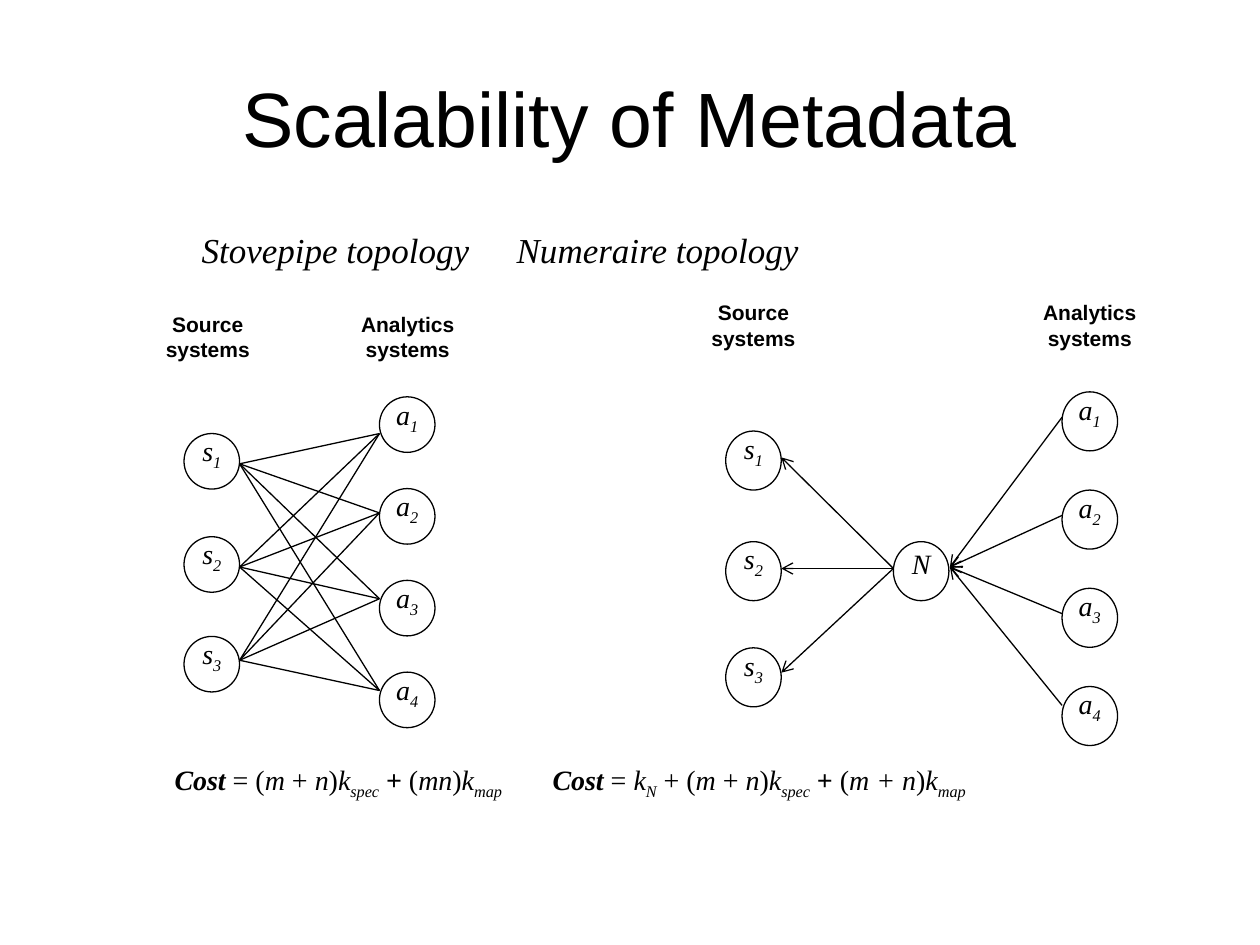
from lxml import etree
from pptx import Presentation
from pptx.dml.color import RGBColor
from pptx.enum.shapes import MSO_CONNECTOR, MSO_SHAPE
from pptx.enum.text import MSO_ANCHOR, PP_ALIGN
from pptx.oxml.ns import qn
from pptx.util import Cm, Pt

STRAIGHT = MSO_CONNECTOR.STRAIGHT
OVAL, RECTANGLE = MSO_SHAPE.OVAL, MSO_SHAPE.RECTANGLE
TOP, MIDDLE, BOTTOM = MSO_ANCHOR.TOP, MSO_ANCHOR.MIDDLE, MSO_ANCHOR.BOTTOM
CENTER, LEFT = PP_ALIGN.CENTER, PP_ALIGN.LEFT

COLORS = {"ink": "000000", "paper": "FFFFFF"}
INK = RGBColor.from_string(COLORS["ink"])
PAPER = RGBColor.from_string(COLORS["paper"])
SERIF, SANS = "Times New Roman", "Arial"


def write(paragraph, runs, size, font=SERIF):
    """Add (text, style) runs; style letters: b bold, i italic, _ subscript."""
    for text, style in runs:
        run = paragraph.add_run()
        run.text = text
        formats = {"size": Pt(size), "name": font, "bold": "b" in style, "italic": "i" in style}
        for attribute, value in formats.items():
            setattr(run.font, attribute, value)
        run.font.color.rgb = INK
        if "_" in style:
            run.font._element.set("baseline", "-25000")


def connect(start, end, arrow=None):
    """Draw a thin line; arrow names the end that gets the arrowhead."""
    line = slide.shapes.add_connector(STRAIGHT, *[Cm(v) for v in (*start, *end)])
    line.line.color.rgb = INK
    line.line.width = Pt(0.75)
    if arrow:
        etree.SubElement(line.line._get_or_add_ln(), qn(f"a:{arrow}"), type="arrow")
    etree.SubElement(line._element.spPr, qn("a:effectLst"))


prs = Presentation()
prs.slide_width, prs.slide_height = Cm(25.4), Cm(19.05)
slide = prs.slides.add_slide(prs.slide_layouts[1])

# Title
title = slide.shapes.title
title.left, title.top, title.width, title.height = Cm(1.27), Cm(0.76), Cm(22.86), Cm(3.18)
title.text_frame.vertical_anchor = MIDDLE
title.text_frame.paragraphs[0].alignment = CENTER
write(title.text_frame.paragraphs[0], [("Scalability of Metadata", "")], 44, SANS)

# Topology names and cost formulas: one line each, the second half at a tab stop
topologies = slide.placeholders[1]
topologies.left, topologies.top = Cm(3.81), Cm(4.65)
topologies.width, topologies.height = Cm(19.48), Cm(1.07)
topology_runs = [("Stovepipe topology\tNumeraire topology", "i")]

costs = slide.shapes.add_textbox(Cm(2.74), Cm(15.24), Cm(20.85), Cm(1.7))
costs.text_frame.margin_left = Cm(0.78)
sum_of_systems = [("m", "i"), (" + ", ""), ("n", "i"), (")", "")]
spec_cost = [("k", "i"), ("spec", "i_"), (" +", "b"), (" (", "")]
map_cost = [(")", ""), ("k", "i"), ("map", "i_")]
cost_runs = [
    ("Cost", "bi"), (" = (", ""), *sum_of_systems, *spec_cost, ("mn", "i"), *map_cost,
    ("\tCost", "bi"), (" = ", ""), ("k", "i"), ("N", "i_"), (" + (", ""),
    *sum_of_systems, *spec_cost, ("m + n", "i"), *map_cost,
]

for line_of_text, runs, size, stop, spacing in [
    (topologies, topology_runs, 20, 9.45, 0.8),
    (costs, cost_runs, 16, 10.87, 1.0),
]:
    line_of_text.text_frame.word_wrap = True
    line_of_text.text_frame.vertical_anchor = TOP
    paragraph = line_of_text.text_frame.paragraphs[0]
    properties = paragraph._p.get_or_add_pPr()
    properties.set("marL", "0")
    properties.set("indent", "0")
    etree.SubElement(properties, qn("a:buNone"))
    tabs = etree.SubElement(properties, qn("a:tabLst"))
    etree.SubElement(tabs, qn("a:tab"), pos=str(Cm(stop)), algn="l")
    paragraph.alignment = LEFT
    paragraph.line_spacing = spacing
    paragraph.space_before = Pt(0)
    write(paragraph, runs, size)

# Column captions
for caption, left, top, width, height, side in [
    ("Source systems", 2.97, 6.15, 2.44, 1.47, 0.25),
    ("Analytics systems", 6.91, 6.15, 2.62, 1.47, 0),
    ("Source systems", 13.97, 5.92, 2.44, 1.57, 0.25),
    ("Analytics systems", 20.65, 5.92, 2.64, 1.57, 0),
]:
    column = slide.shapes.add_shape(RECTANGLE, Cm(left), Cm(top), Cm(width), Cm(height))
    column.shadow.inherit = False
    column.fill.solid()
    column.fill.fore_color.rgb = PAPER
    column.line.fill.background()
    frame = column.text_frame
    frame.word_wrap = True
    frame.vertical_anchor = TOP
    frame.margin_left = frame.margin_right = Cm(side)
    frame.paragraphs[0].alignment = CENTER
    write(frame.paragraphs[0], [(caption, "b")], 12, SANS)

# Stovepipe links: every source to every analytics system
for source_y in (9.35, 11.43, 13.31):
    for analytics_y in (8.74, 10.34, 12.07, 13.92):
        connect((4.83, source_y), (7.65, analytics_y))

# Numeraire links: all systems through the hub
for source_y in (9.22, 11.46, 13.56):
    connect((18.01, 11.46), (15.75, source_y), "tailEnd")
for analytics_y in (8.41, 10.39, 12.37, 14.22):
    connect((19.15, 11.43), (21.41, analytics_y), "headEnd")

# System nodes: letter, left, tops, height, space below the label
for letter, left, tops, height, below in [
    ("s", 3.71, (8.74, 10.82, 12.83), 1.12, 0.18),
    ("a", 7.65, [8 + 1.85 * i for i in range(4)], 1.12, 0.18),
    ("s", 14.63, (8.69, 10.92, 13.06), 1.19, 0.24),
    ("a", 21.41, [7.9 + 1.98 * i for i in range(4)], 1.19, 0.24),
    ("N", 18.01, (10.92,), 1.19, 0.24),
]:
    for number, top in enumerate(tops, 1):
        node = slide.shapes.add_shape(OVAL, Cm(left), Cm(top), Cm(1.12), Cm(height))
        node.shadow.inherit = False
        node.fill.background()
        node.line.color.rgb = INK
        node.line.width = Pt(0.75)
        frame = node.text_frame
        frame.word_wrap = False
        frame.vertical_anchor = BOTTOM
        frame.margin_left = frame.margin_right = frame.margin_top = 0
        frame.margin_bottom = Cm(below)
        frame.paragraphs[0].alignment = CENTER
        index = [(str(number), "i_")] if len(tops) > 1 else []
        write(frame.paragraphs[0], [(letter, "i"), *index], 16)

prs.save("out.pptx")
